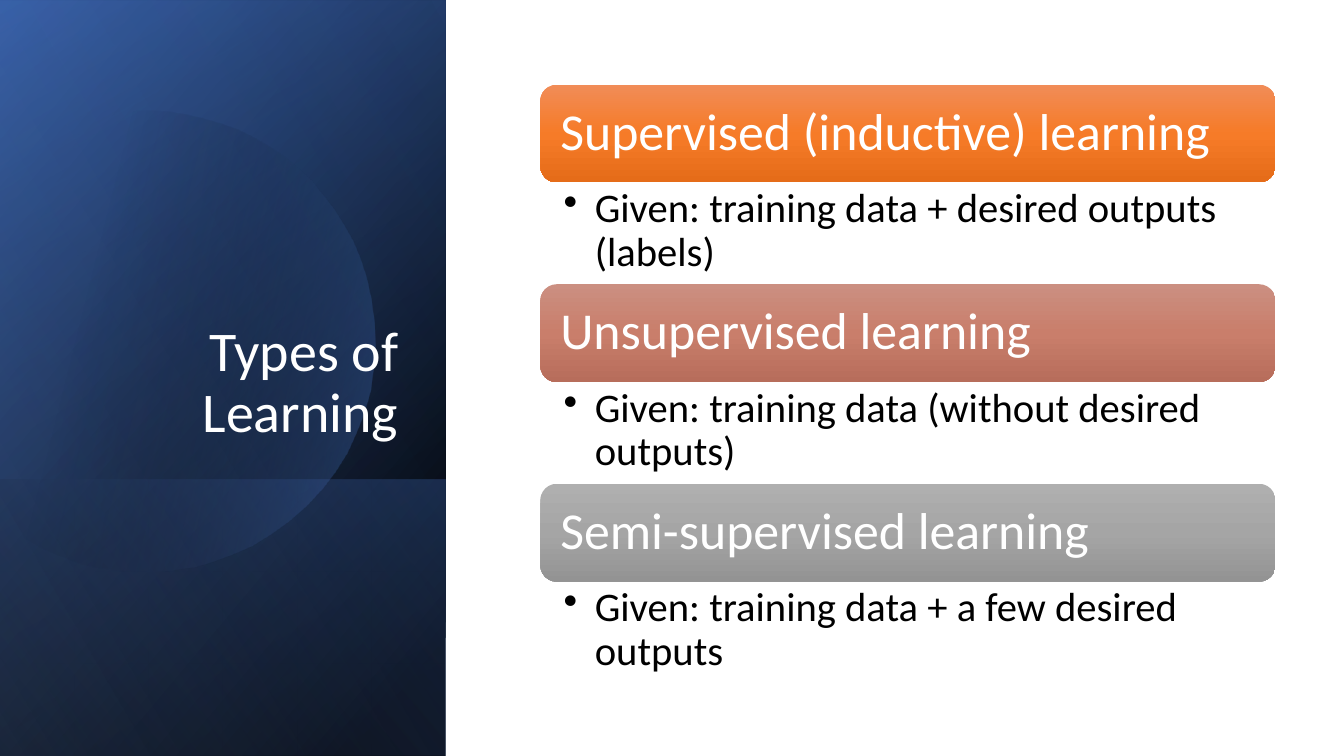
from dataclasses import dataclass

from lxml import etree
from pptx import Presentation
from pptx import util as u
from pptx.dml.color import RGBColor
from pptx.enum import shapes, text
from pptx.oxml.ns import qn


@dataclass(frozen=True)
class Theme:
    font: str = "Calibri"
    light: str = "FFFFFF"
    dark: str = "000000"
    blue: str = "4472C4"
    deep_blue: str = "2F5597"
    pale_blue: str = "8FAADC"
    orange: tuple = ("F18C57", "F67B28", "E56C19")
    clay: tuple = ("CB8F81", "C97E6B", "B76D5B")
    grey: tuple = ("AFAFAF", "A5A5A5", "939393")
    title_size: int = 40
    heading_size: int = 37
    detail_size: int = 29


THEME = Theme()
PX = 9144
PANELS = [
    ((-154, 154, 750, 442), 50, [(8, THEME.dark, 100), (100, THEME.deep_blue, 100)]),
    ((-154, 155, 750, 442), 30, [(0, THEME.dark, 0), (99, THEME.blue, 46)]),
    ((84, 392, 274, 442), 130, [(2, THEME.blue, 29), (100, THEME.dark, 30)]),
]
SHEEN = ((-154, 154, 750, 442), 120, [(0, THEME.dark, 0), (99, THEME.pale_blue, 11)])
DISC_START = (149, 110)
DISC_CURVES = [
    ((246, 112), (335, 177), (363, 275)),
    ((398, 397), (328, 523), (207, 558)),
    ((131, 580), (53, 561), (-3, 514)),
    ((-7, 511), (-11, 507), (-15, 503)),
    ((-15, 386), (-15, 280), (-15, 175)),
    ((-10, 170), (-5, 166), (0, 161)),
    ((23, 142), (50, 128), (80, 119)),
    ((103, 113), (126, 110), (149, 110)),
]
CURVE_STEPS = 16
TOPICS = [
    ("Supervised (inductive) learning",
     "Given: training data + desired outputs (labels)", THEME.orange),
    ("Unsupervised learning",
     "Given: training data (without desired outputs)", THEME.clay),
    ("Semi-supervised learning",
     "Given: training data + a few desired outputs", THEME.grey),
]
LIST_LEFT, LIST_TOP, LIST_WIDTH = 536, 84, 729
HEADING_HEIGHT, DETAIL_HEIGHT = 97, 101


def px(*lengths):
    return [u.Emu(length * PX) for length in lengths]


def set_values(target, values):
    for name, value in values.items():
        setattr(target, name, value)


def fill_gradient(shape, angle, stops):
    shape.shadow.inherit = False
    shape.line.fill.background()
    shape.fill.background()
    gradient = etree.Element(qn("a:gradFill"), rotWithShape="1")
    stop_list = etree.SubElement(gradient, qn("a:gsLst"))
    for position, color, opacity in stops:
        stop = etree.SubElement(stop_list, qn("a:gs"), pos=str(position * 1000))
        paint = etree.SubElement(stop, qn("a:srgbClr"), val=color)
        if opacity < 100:
            etree.SubElement(paint, qn("a:alpha"), val=str(opacity * 1000))
    etree.SubElement(gradient, qn("a:lin"), ang=str(angle * 60000), scaled="0")
    properties = shape.element.spPr
    properties.replace(properties.find(qn("a:noFill")), gradient)


def add_panel(page, place, angle, stops):
    panel = page.shapes.add_shape(shapes.MSO_SHAPE.RECTANGLE, *px(*place))
    panel.rotation = 90
    panel.element.spPr.find(qn("a:xfrm")).set("flipH", "1")
    fill_gradient(panel, angle, stops)


def curve_points(start, first, second, end):
    for step in range(1, CURVE_STEPS + 1):
        t = step / CURVE_STEPS
        weights = ((1 - t) ** 3, 3 * t * (1 - t) ** 2, 3 * t * t * (1 - t), t ** 3)
        controls = zip(start, first, second, end)
        yield tuple(sum(w * c for w, c in zip(weights, axis)) for axis in controls)


def add_disc(page):
    builder = page.shapes.build_freeform(*DISC_START, scale=PX)
    start = DISC_START
    for curve in DISC_CURVES:
        builder.add_line_segments(list(curve_points(start, *curve)), close=False)
        start = curve[-1]
    builder.add_line_segments([DISC_START], close=True)
    fill_gradient(builder.convert_to_shape(), 14,
                  [(29, THEME.dark, 0), (100, THEME.blue, 43)])


def write_text(shape, words, size, color, align, frame_values):
    frame = shape.text_frame
    set_values(frame, {"word_wrap": True, "auto_size": text.MSO_AUTO_SIZE.NONE,
                       **frame_values})
    para = frame.paragraphs[0]
    set_values(para, {"alignment": align, "line_spacing": 0.9})
    span = para.add_run()
    span.text = words
    set_values(span.font, {"name": THEME.font, "size": u.Pt(size)})
    span.font.color.rgb = RGBColor.from_string(color)
    return para


def insets(left, top, right, bottom):
    names = ("margin_left", "margin_top", "margin_right", "margin_bottom")
    return dict(zip(names, px(left, top, right, bottom)))


def place_title(page):
    title = page.shapes.title
    set_values(title, dict(zip(("left", "top", "width", "height"),
                               px(64, 184, 341, 262))))
    write_text(title, "Types of Learning", THEME.title_size, THEME.light,
               text.PP_ALIGN.RIGHT, {"vertical_anchor": text.MSO_ANCHOR.BOTTOM})
    page.shapes.element.append(title.element)


def add_heading(page, top, words, colors):
    bar = page.shapes.add_shape(shapes.MSO_SHAPE.ROUNDED_RECTANGLE,
                                *px(LIST_LEFT, top, LIST_WIDTH, HEADING_HEIGHT))
    fill_gradient(bar, 90, [(50 * i, color, 100) for i, color in enumerate(colors)])
    write_text(bar, words, THEME.heading_size, THEME.light, text.PP_ALIGN.LEFT,
               {"vertical_anchor": text.MSO_ANCHOR.MIDDLE, **insets(15, 15, 15, 15)})


def add_detail(page, top, words):
    box = page.shapes.add_textbox(*px(LIST_LEFT, top, LIST_WIDTH, DETAIL_HEIGHT))
    para = write_text(box, words, THEME.detail_size, THEME.dark, text.PP_ALIGN.LEFT,
                      {"vertical_anchor": text.MSO_ANCHOR.TOP, **insets(23, 5, 29, 5)})
    para.level = 1
    properties = para._p.get_or_add_pPr()
    properties.set("marL", str(31 * PX))
    properties.set("indent", str(-31 * PX))
    etree.SubElement(properties, qn("a:buChar"), char="•")


def main():
    deck = Presentation()
    deck.slide_width, deck.slide_height = px(1333, 750)
    page = deck.slides.add_slide(deck.slide_layouts[5])
    for panel in PANELS:
        add_panel(page, *panel)
    add_disc(page)
    add_panel(page, *SHEEN)
    place_title(page)
    for row, (heading, detail, colors) in enumerate(TOPICS):
        top = LIST_TOP + row * (HEADING_HEIGHT + DETAIL_HEIGHT)
        add_heading(page, top, heading, colors)
        add_detail(page, top + HEADING_HEIGHT, detail)
    deck.save("out.pptx")


if __name__ == "__main__":
    main()
